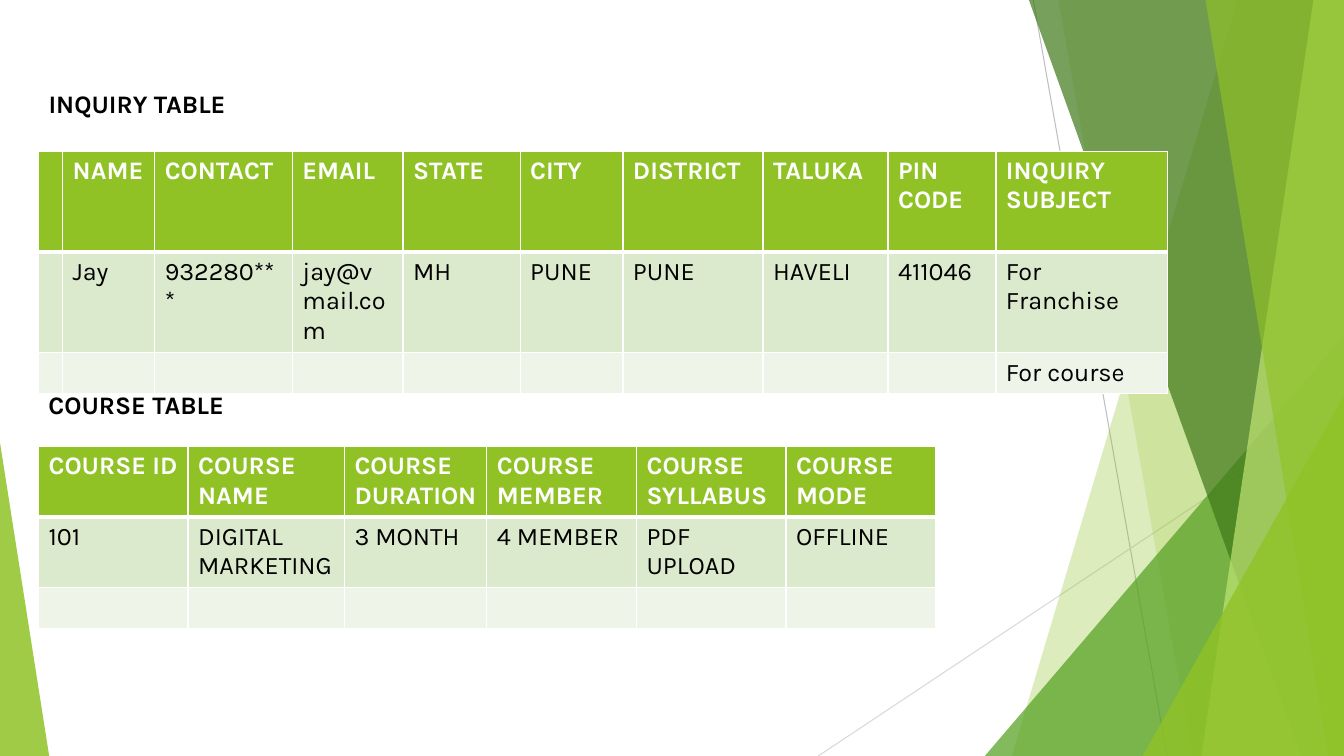
import pptx
import pptx.util
import pptx.dml.color
import pptx.enum.shapes
import pptx.enum.text
import pptx.oxml.ns
from lxml import etree

Cm, Pt = pptx.util.Cm, pptx.util.Pt
qn = pptx.oxml.ns.qn
W, H = 33.87, 19.05
FONT = "Karla"
GREEN, WHITE, BLACK = "90C226", "FFFFFF", "000000"
BANDS = [GREEN, "DBE9CD", "EEF4E8"]
LEFT = 0.97

INQUIRY_COLS = [0.6, 2.32, 3.47, 2.79, 2.95, 2.59, 3.53, 3.15, 2.72, 4.32]
INQUIRY = [
    ["", "NAME", "CONTACT", "EMAIL", "STATE", "CITY", "DISTRICT", "TALUKA",
     "PIN CODE", "INQUIRY\nSUBJECT"],
    ["", "Jay", "932280***", "jay@vmail.com", "MH", "PUNE", "PUNE", "HAVELI",
     "411046", "For Franchise"],
    [""] * 9 + ["For course"],
]
COURSE_COLS = [3.77, 3.94, 3.59, 3.77, 3.77, 3.77]
COURSE = [
    ["COURSE ID", "COURSE NAME", "COURSE DURATION", "COURSE MEMBER",
     "COURSE SYLLABUS", "COURSE MODE"],
    ["101", "DIGITAL MARKETING", "3 MONTH", "4 MEMBER", "PDF UPLOAD", "OFFLINE"],
    [""] * 6,
]


def rgb(color):
    return pptx.dml.color.RGBColor.from_string(color)


class Deck:
    """Holds the presentation, its text style and the current slide."""

    def __init__(self):
        self.prs = pptx.Presentation()
        self.prs.slide_width, self.prs.slide_height = Cm(W), Cm(H)
        self.s = self.prs.slides.add_slide(self.prs.slide_layouts[5])

    def style(self, tf, color, bold):
        for p in tf.paragraphs:
            p.alignment = pptx.enum.text.PP_ALIGN.LEFT
            for r in p.runs:
                r.font.name, r.font.size, r.font.bold = FONT, Pt(18), bold
                r.font.color.rgb = rgb(color)

    def paint(self, sp, color, opacity):
        """Fill a shape without outline; opacity is in percent."""
        sp.shadow.inherit = False
        sp.line.fill.background()
        sp.fill.solid()
        sp.fill.fore_color.rgb = rgb(color)
        clr = sp._element.spPr.find(qn("a:solidFill"))[0]
        etree.SubElement(clr, qn("a:alpha"), val=str(opacity * 1000))

    def line(self, x1, y1, x2, y2, color):
        c = self.s.shapes.add_connector(
            pptx.enum.shapes.MSO_CONNECTOR.STRAIGHT, Cm(x1), Cm(y1), Cm(x2), Cm(y2))
        c.line.color.rgb = rgb(color)
        c.line.width = Pt(0.75)
        etree.SubElement(c._element.spPr, qn("a:effectLst"))

    def facet(self, top_x, bottom_x, color, opacity):
        """Full-height panel from a slanted left edge to the slide's right edge."""
        fb = self.s.shapes.build_freeform(Cm(top_x), 0)
        fb.add_line_segments(
            [(Cm(W), 0), (Cm(W), Cm(H)), (Cm(bottom_x), Cm(H))], close=True)
        self.paint(fb.convert_to_shape(), color, opacity)

    def triangle(self, x, y, right, apex, color, opacity):
        """Triangle standing on the slide's bottom edge."""
        sp = self.s.shapes.add_shape(
            pptx.enum.shapes.MSO_SHAPE.ISOSCELES_TRIANGLE,
            Cm(x), Cm(y), Cm(right - x), Cm(H - y))
        sp.adjustments[0] = apex
        self.paint(sp, color, opacity)

    def heading(self, sp, text, y, width):
        sp.left, sp.top, sp.width, sp.height = Cm(LEFT), Cm(y), Cm(width), Cm(1.03)
        tf = sp.text_frame
        tf.text = text
        tf.word_wrap = True
        tf.vertical_anchor = pptx.enum.text.MSO_ANCHOR.TOP
        tf.auto_size = pptx.enum.text.MSO_AUTO_SIZE.SHAPE_TO_FIT_TEXT
        self.style(tf, BLACK, True)

    def title(self, text, y, width):
        self.heading(self.s.shapes.title, text, y, width)

    def text(self, text, y, width):
        self.heading(self.s.shapes.add_textbox(0, 0, 0, 0), text, y, width)

    def borders(self, cell, top, bottom):
        tcPr = cell._tc.get_or_add_tcPr()
        for side, width in (("L", 1), ("R", 1), ("T", top), ("B", bottom)):
            ln = etree.SubElement(tcPr, qn("a:ln" + side), w=str(Pt(width)))
            fill = etree.SubElement(ln, qn("a:solidFill"))
            etree.SubElement(fill, qn("a:srgbClr"), val=WHITE)

    def table(self, y, cols, heights, rows):
        tbl = self.s.shapes.add_table(
            len(rows), len(cols), Cm(LEFT), Cm(y), Cm(sum(cols)), Cm(sum(heights))).table
        tbl.horz_banding = False
        for col, width in zip(tbl.columns, cols):
            col.width = Cm(width)
        for i, values in enumerate(rows):
            tbl.rows[i].height = Cm(heights[i])
            for j, value in enumerate(values):
                cell = tbl.cell(i, j)
                self.borders(cell, 3 if i == 1 else 1, 3 if i == 0 else 1)
                cell.fill.solid()
                cell.fill.fore_color.rgb = rgb(BANDS[i])
                if value:
                    cell.text_frame.text = value
                    self.style(cell.text_frame, WHITE if i == 0 else BLACK, i == 0)


def main():
    d = Deck()
    d.line(26.04, 0, 29.41, H, "BFBFBF")
    d.line(W, 10.24, 20.62, H, "D9D9D9")
    d.facet(31.19, 25.5, GREEN, 30)
    d.facet(26.67, 30.05, GREEN, 20)
    d.triangle(24.82, 8.46, W, 1, "54A021", 72)
    d.facet(25.93, 32.79, "3F7819", 70)
    d.facet(33.1, 30.28, "C0E474", 70)
    d.facet(30.38, 33.48, GREEN, 65)
    d.triangle(28.8, 9.98, W, 1, GREEN, 80)
    d.triangle(0, 11.15, 1.24, 0, GREEN, 85)

    d.title("INQUIRY TABLE", 2.11, 12.95)
    d.table(3.81, INQUIRY_COLS, [2.54, 2.54, 1.03], INQUIRY)
    d.text("COURSE TABLE", 9.68, 11.73)
    d.table(11.25, COURSE_COLS, [1.78, 1.78, 1.03], COURSE)
    d.prs.save("out.pptx")


if __name__ == "__main__":
    main()
